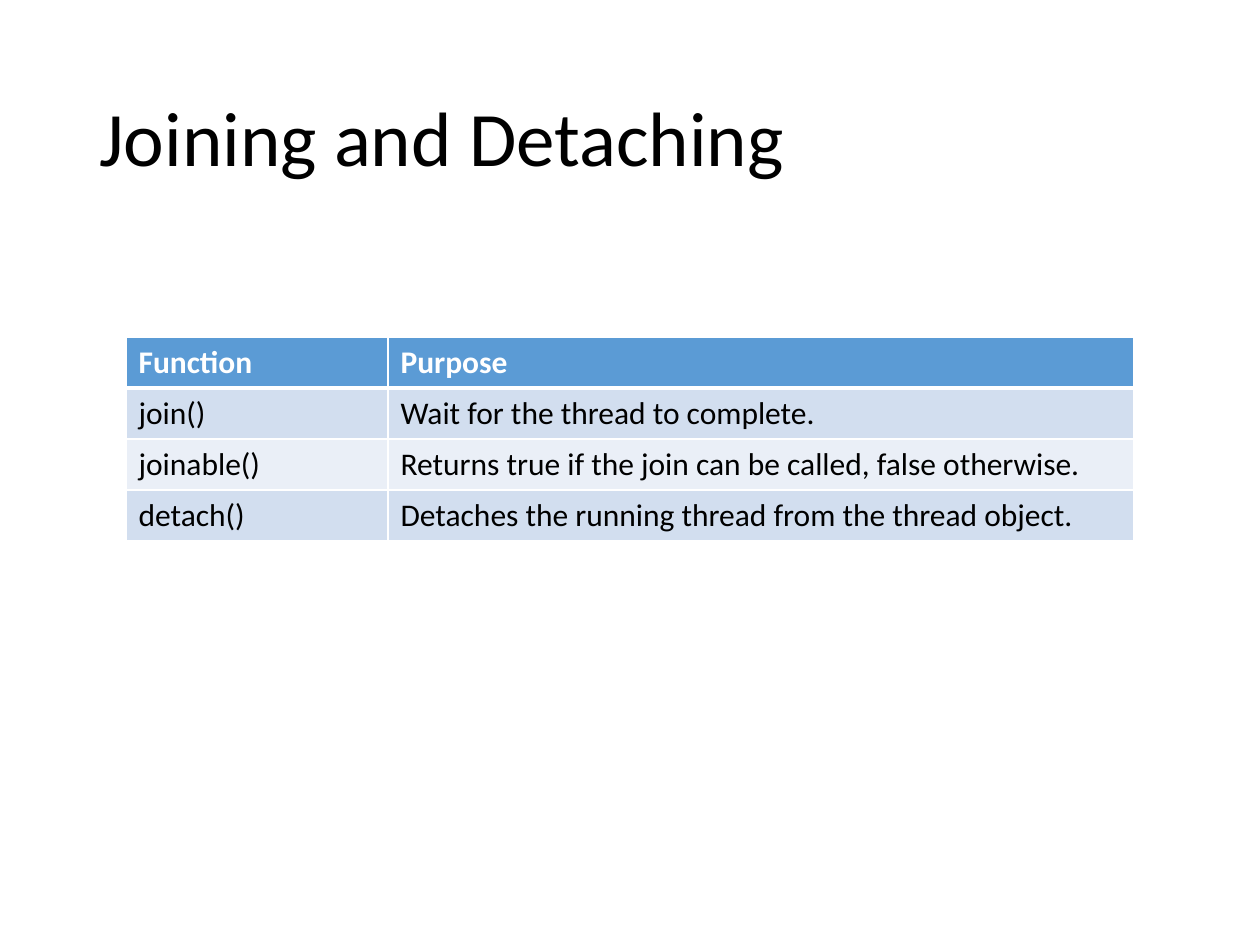
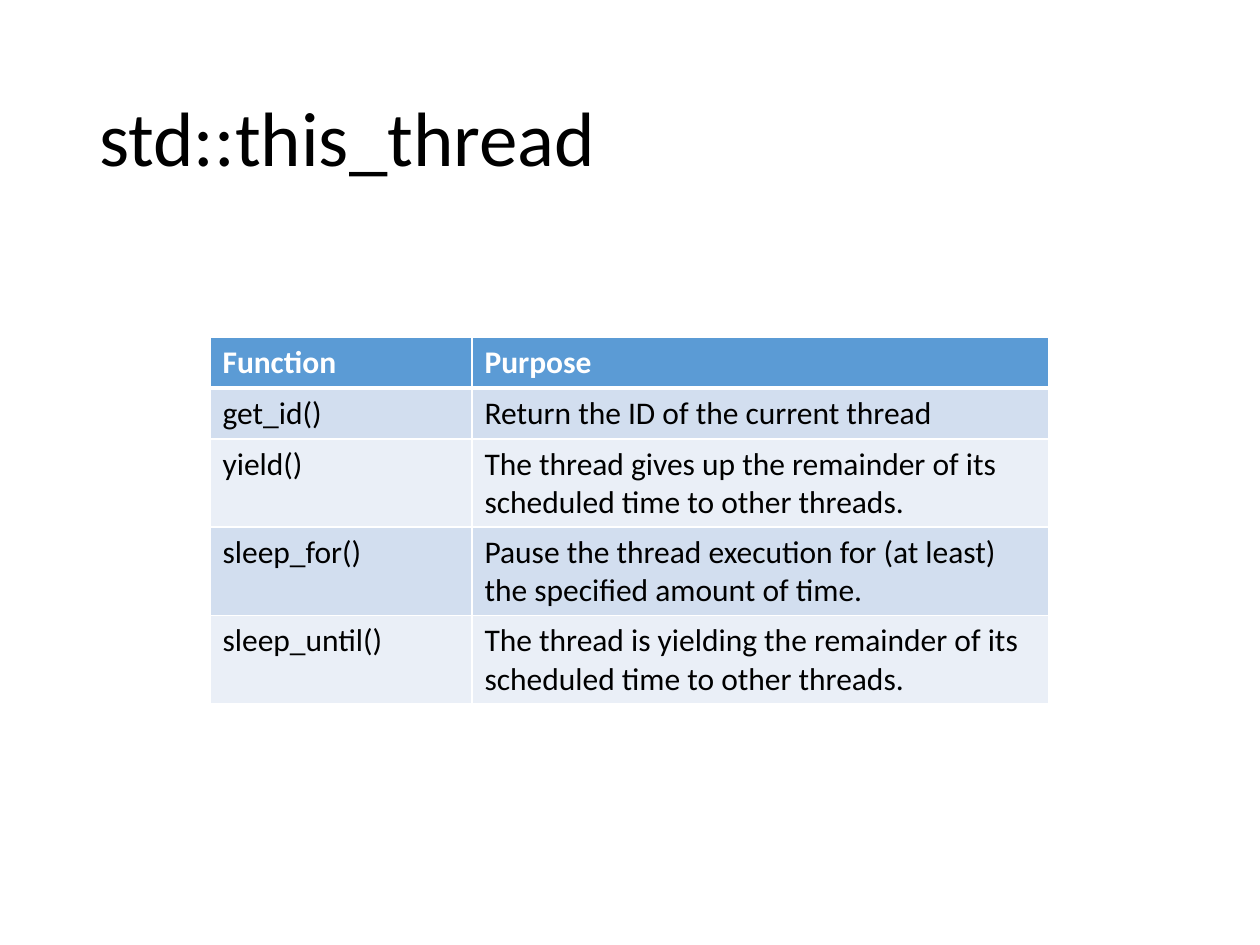
import pptx
import pptx.util
import pptx.dml.color
import pptx.enum.text
import pptx.oxml
import pptx.oxml.ns

PX = 914400 // 126
FONT = "Calibri"
BLACK, WHITE = "000000", "FFFFFF"
HEADER_FILL = "5B9BD5"
BAND_FILLS = ["EAEFF7", "D2DEEF"]
TABLE_TOP = 337
FUNCTION_WIDTH = 262
HEADER = ("Function", "Purpose")

SLIDES = [
    ("Joining and Detaching", 126, 746, [51, 51, 51, 51], [
        ("join()", "Wait for the thread to complete."),
        ("joinable()", "Returns true if the join can be called, false otherwise."),
        ("detach()", "Detaches the running thread from the thread object."),
    ]),
    ("std::this_thread", 210, 577, [51, 51, 88, 88, 88], [
        ("get_id()", "Return the ID of the current thread"),
        ("yield()", "The thread gives up the remainder of its scheduled time to other threads."),
        ("sleep_for()", "Pause the thread execution for (at least) the specified amount of time."),
        ("sleep_until()", "The thread is yielding the remainder of its scheduled time to other threads."),
    ]),
]


def style_text(p, size, color, bold=False):
    p.font.name = FONT
    p.font.size = pptx.util.Pt(size)
    p.font.bold = bold
    p.font.color.rgb = pptx.dml.color.RGBColor.from_string(color)


def set_borders(cell, top, bottom):
    tc_pr = cell._tc.get_or_add_tcPr()
    for i, (side, width) in enumerate([("L", 1), ("R", 1), ("T", top), ("B", bottom)]):
        tc_pr.insert(i, pptx.oxml.parse_xml(
            f'<a:ln{side} {pptx.oxml.ns.nsdecls("a")} w="{pptx.util.Pt(width)}">'
            f'<a:solidFill><a:srgbClr val="{WHITE}"/></a:solidFill></a:ln{side}>'))


prs = pptx.Presentation()
prs.slide_width = 1260 * PX
prs.slide_height = 945 * PX

for title, left, purpose_width, heights, functions in SLIDES:
    s = prs.slides.add_slide(prs.slide_layouts[6])
    sp = s.shapes.add_textbox(87 * PX, 50 * PX, 1086 * PX, 183 * PX)
    tf = sp.text_frame
    tf.word_wrap = True
    tf.vertical_anchor = pptx.enum.text.MSO_ANCHOR.MIDDLE
    p = tf.paragraphs[0]
    p.text = title
    p.line_spacing = 0.9
    style_text(p, 44, BLACK)

    widths = [FUNCTION_WIDTH, purpose_width]
    rows = [HEADER] + functions
    table = s.shapes.add_table(len(rows), 2, left * PX, TABLE_TOP * PX,
                               sum(widths) * PX, sum(heights) * PX).table
    for column, width in zip(table.columns, widths):
        column.width = width * PX
    for i, (row, height, texts) in enumerate(zip(table.rows, heights, rows)):
        row.height = height * PX
        is_header = i == 0
        fill = HEADER_FILL if is_header else BAND_FILLS[i % 2]
        for cell, text in zip(row.cells, texts):
            cell.text = text
            cell.fill.solid()
            cell.fill.fore_color.rgb = pptx.dml.color.RGBColor.from_string(fill)
            set_borders(cell, 3 if i == 1 else 1, 3 if is_header else 1)
            style_text(cell.text_frame.paragraphs[0], 18,
                       WHITE if is_header else BLACK, is_header)

prs.save("out.pptx")
